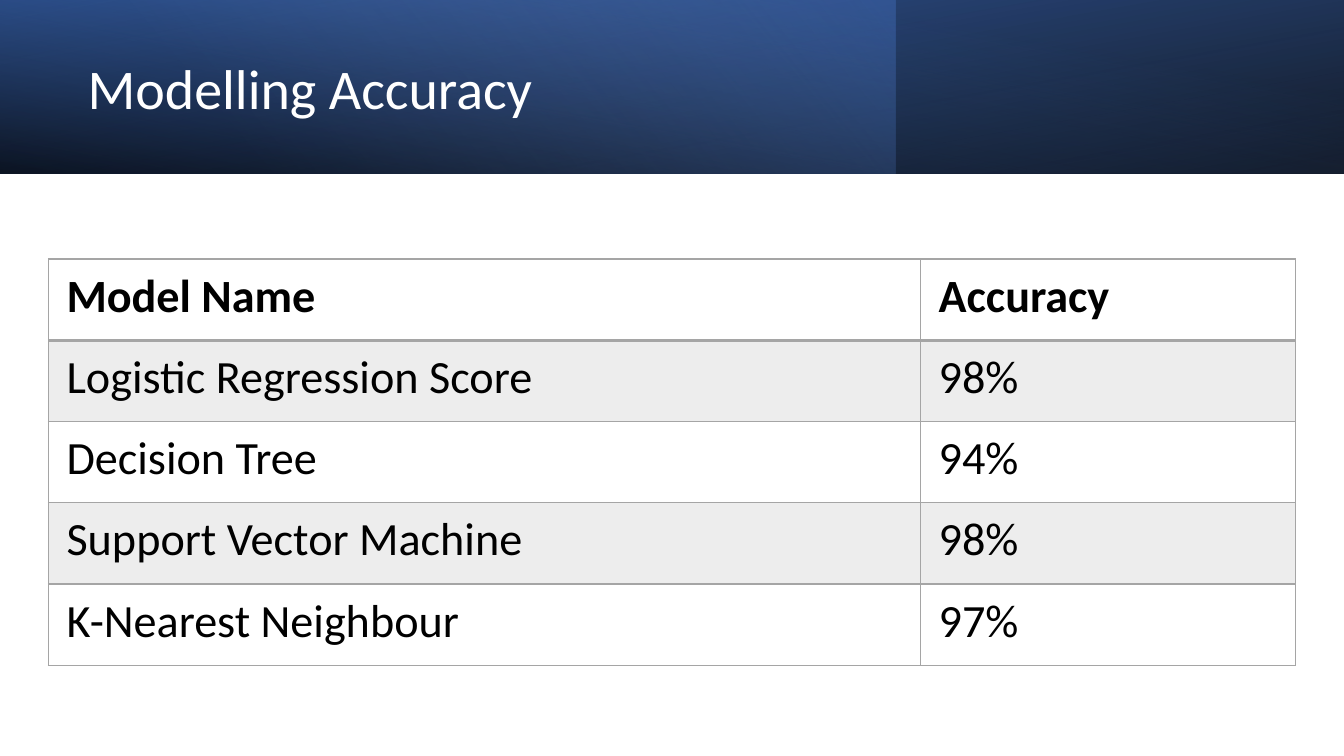
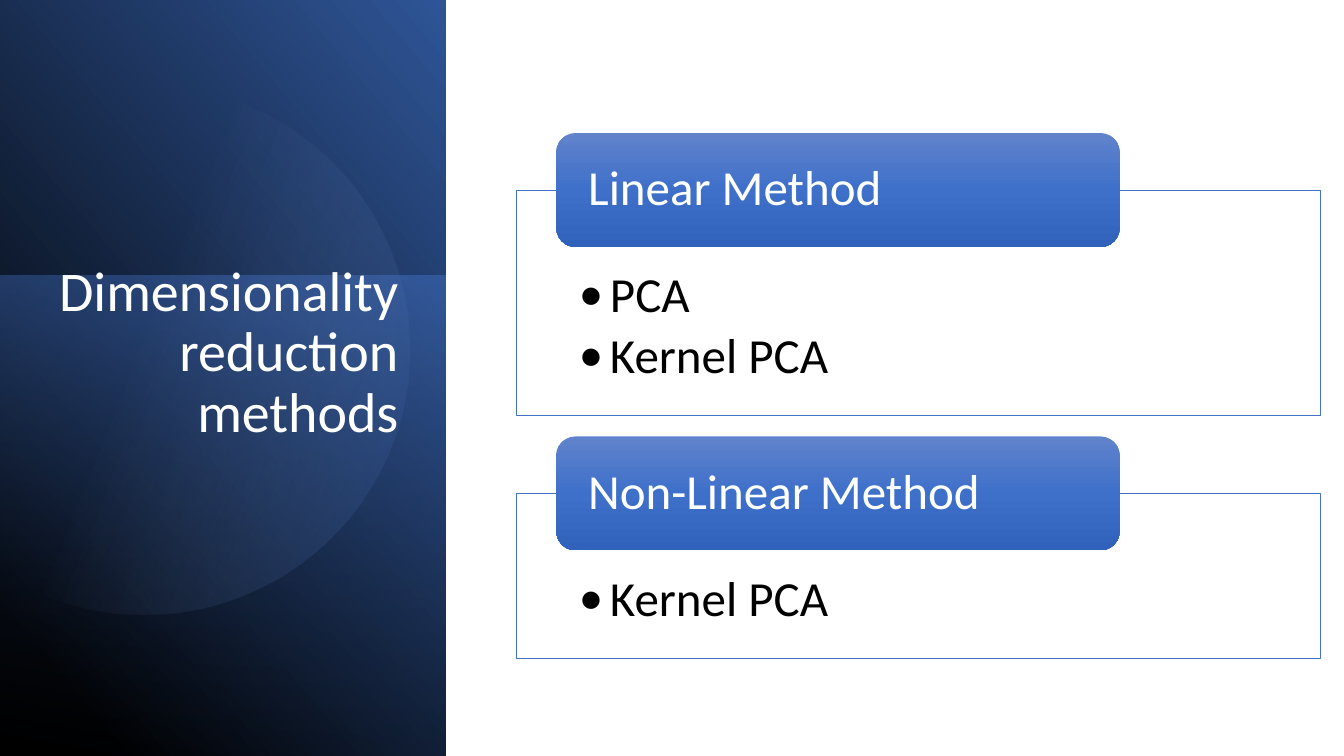
import math

from lxml import etree
from pptx import Presentation
from pptx.dml.color import RGBColor
from pptx.enum.shapes import MSO_SHAPE
from pptx.enum.text import MSO_ANCHOR, PP_ALIGN
from pptx.oxml.ns import qn
from pptx.util import Inches, Pt

# Shared look
FONT = "Calibri"
WHITE, BLACK, GREY, BAND = "FFFFFF", "000000", "A5A5A5", "EDEDED"
BLUE, DEEP, NAVY, PALE = "4472C4", "2F5597", "203864", "8FAADC"
CARD_STOPS = [(0, "6183CB"), (50, "3E70CA"), (100, "3062BB")]
TITLE_SIZE = 40
SLIDE_W, SLIDE_H = 13.33, 7.5


def rgb(value):
    return RGBColor.from_string(value)


def child(parent, tag, **attrs):
    return etree.SubElement(parent, qn(tag), attrs)


def gradient(shape, stops, angle):
    """Fill with (position, colour[, opacity]) stops; angle runs clockwise."""
    shape.fill.gradient()
    grad = shape.fill._xPr.find(qn("a:gradFill"))
    grad.clear()
    grad.set("rotWithShape", "1")
    stop_list = child(grad, "a:gsLst")
    for position, colour, *opacity in stops:
        stop = child(stop_list, "a:gs", pos=str(position * 1000))
        clr = child(stop, "a:srgbClr", val=colour)
        if opacity:
            child(clr, "a:alpha", val=str(opacity[0] * 1000))
    child(grad, "a:lin", ang=str(round(angle * 60000)), scaled="0")


def add_box(slide, box, kind=MSO_SHAPE.RECTANGLE):
    shape = slide.shapes.add_shape(kind, *map(Inches, box))
    shape.shadow.inherit = False
    shape.line.fill.background()
    return shape


def gradient_box(slide, box, stops, angle, turn=0, flip=False):
    """Cover the visible box with a gradient rectangle turned by `turn`."""
    x, y, w, h = box
    if turn % 180:
        x, y, w, h = x + (w - h) / 2, y + (h - w) / 2, h, w
    shape = add_box(slide, (x, y, w, h))
    shape.rotation = turn
    if flip:
        shape._element.spPr.find(qn("a:xfrm")).set("flipH", "1")
    gradient(shape, stops, angle)


def set_insets(target, left, top, right, bottom):
    target.margin_left, target.margin_top = Inches(left), Inches(top)
    target.margin_right, target.margin_bottom = Inches(right), Inches(bottom)


def style_run(paragraph, text, size, colour, bold=False):
    run = paragraph.add_run()
    run.text = text
    run.font.name, run.font.size, run.font.bold = FONT, Pt(size), bold
    run.font.color.rgb = rgb(colour)


def write(shape, lines, size, colour, anchor, insets=(0.1, 0.05, 0.1, 0.05),
          align=PP_ALIGN.LEFT, after=0, bullet=False):
    frame = shape.text_frame
    frame.word_wrap = True
    frame.vertical_anchor = anchor
    set_insets(frame, *insets)
    for i, line in enumerate(lines):
        paragraph = frame.add_paragraph() if i else frame.paragraphs[0]
        paragraph.alignment = align
        paragraph.line_spacing = 0.9
        paragraph.space_after = Pt(after)
        if bullet:
            props = paragraph._p.get_or_add_pPr()
            indent = Inches(0.31)
            props.set("marL", str(indent))
            props.set("indent", str(-indent))
            child(props, "a:buFont", typeface=FONT)
            child(props, "a:buChar", char="•")
        style_run(paragraph, line, size, colour)


def add_title(slide, box, text, anchor, align=PP_ALIGN.LEFT):
    title = slide.shapes.add_textbox(*map(Inches, box))
    write(title, [text], TITLE_SIZE, WHITE, anchor, align=align)


# Slide 1: title band above a table
def title_band(slide, box, text):
    x, y, w, h = box
    gradient_box(slide, box, [(0, BLACK, 96), (100, DEEP)], 100, 180, True)
    gradient_box(slide, (x, y, w * 2 / 3, h),
                 [(0, BLUE, 41), (74, PALE, 0)], 140)
    gradient_box(slide, box, [(0, BLACK, 63), (78, BLUE, 15)], 260, flip=True)
    add_title(slide, (x + 0.77, y + 0.27, 7.72, 1.27), text, MSO_ANCHOR.MIDDLE)


def cell_borders(cell, widths):
    props = cell._tc.get_or_add_tcPr()
    for side, width in widths.items():
        line = child(props, f"a:ln{side}", w=str(Pt(width)))
        child(child(line, "a:solidFill"), "a:srgbClr", val=GREY)


def accuracy_table(slide, box, rows, col_widths):
    x, y, w, h = map(Inches, box)
    table = slide.shapes.add_table(len(rows), len(col_widths), x, y, w, h).table
    table.first_row = table.horz_banding = False
    for column, width in zip(table.columns, col_widths):
        column.width = Inches(width)
    for r, row in enumerate(rows):
        table.rows[r].height = h // len(rows)
        for c, text in enumerate(row):
            cell = table.cell(r, c)
            set_insets(cell, 0.18, 0.09, 0.18, 0.09)
            cell_borders(cell, {"L": 1, "R": 1, "T": 2 if r == 1 else 1,
                                "B": 2 if r == 0 else 1})
            if r % 2:
                cell.fill.solid()
                cell.fill.fore_color.rgb = rgb(BAND)
            else:
                cell.fill.background()
            style_run(cell.text_frame.paragraphs[0], text, 33, BLACK, r == 0)


# Slide 2: title panel beside a stack of cards
def cut_disc(slide, left, cx, cy, radius):
    """Disc cut off by the vertical line at `left`."""
    cut = math.acos((left - cx) / radius)
    steps = 120
    angles = [cut * (2 * i / steps - 1) for i in range(steps + 1)]
    points = [(Inches(cx + radius * math.cos(a)),
               Inches(cy + radius * math.sin(a))) for a in angles]
    builder = slide.shapes.build_freeform(*points[0])
    builder.add_line_segments(points[1:], close=True)
    disc = builder.convert_to_shape()
    disc.shadow.inherit = False
    disc.line.fill.background()
    gradient(disc, [(39, PALE, 0), (100, DEEP, 26)], 21.6)


def title_panel(slide, box, text):
    x, y, w, h = box
    gradient_box(slide, box, [(11, BLACK), (100, DEEP)], 310, 90, True)
    glow_top = 2.73
    gradient_box(slide, (x, y + glow_top, w, h - glow_top),
                 [(0, BLUE, 50), (100, NAVY, 0)], 190, 270)
    cut_disc(slide, x, x + 1.43, y + 3.47, 2.63)
    add_title(slide, (x + 0.37, y + 2.56, 3.68, 3.86), text,
              MSO_ANCHOR.TOP, PP_ALIGN.RIGHT)


def method_card(slide, box, heading, items):
    x, y, w, h = box
    head_h = 1.13
    body = add_box(slide, (x, y + head_h / 2, w, h - head_h / 2))
    body.fill.solid()
    body.fill.fore_color.rgb = rgb(WHITE)
    body.line.color.rgb = rgb(BLUE)
    body.line.width = Pt(0.5)
    write(body, items, 35, BLACK, MSO_ANCHOR.TOP, (0.62, 0.8, 0.62, 0.27),
          after=5.25, bullet=True)
    head = add_box(slide, (x + w * 0.05, y, w * 0.7, head_h),
                   MSO_SHAPE.ROUNDED_RECTANGLE)
    gradient(head, CARD_STOPS, 90)
    write(head, [heading], 35, WHITE, MSO_ANCHOR.MIDDLE, (0.26, 0.05, 0.26, 0.05))


def card_stack(slide, x, y, w, cards, gap=0.21):
    for heading, items in cards:
        height = 2.2 + 0.6 * (len(items) - 1)
        method_card(slide, (x, y, w, height), heading, items)
        y += height + gap


prs = Presentation()
prs.slide_width, prs.slide_height = Inches(SLIDE_W), Inches(SLIDE_H)
blank = prs.slide_layouts[6]

accuracy = prs.slides.add_slide(blank)
title_band(accuracy, (0, 0, SLIDE_W, 1.72), "Modelling Accuracy")
accuracy_table(accuracy, (0.48, 2.57, 12.37, 4.03), [
    ("Model Name", "Accuracy"),
    ("Logistic Regression Score", "98%"),
    ("Decision Tree", "94%"),
    ("Support Vector Machine", "98%"),
    ("K-Nearest Neighbour", "97%"),
], (8.65, 3.72))

methods = prs.slides.add_slide(blank)
title_panel(methods, (0, 0, 4.42, SLIDE_H), "Dimensionality reduction methods")
card_stack(methods, 5.12, 1.32, 7.98, [
    ("Linear Method", ["PCA", "Kernel PCA"]),
    ("Non-Linear Method", ["Kernel PCA"]),
])

prs.save("out.pptx")
